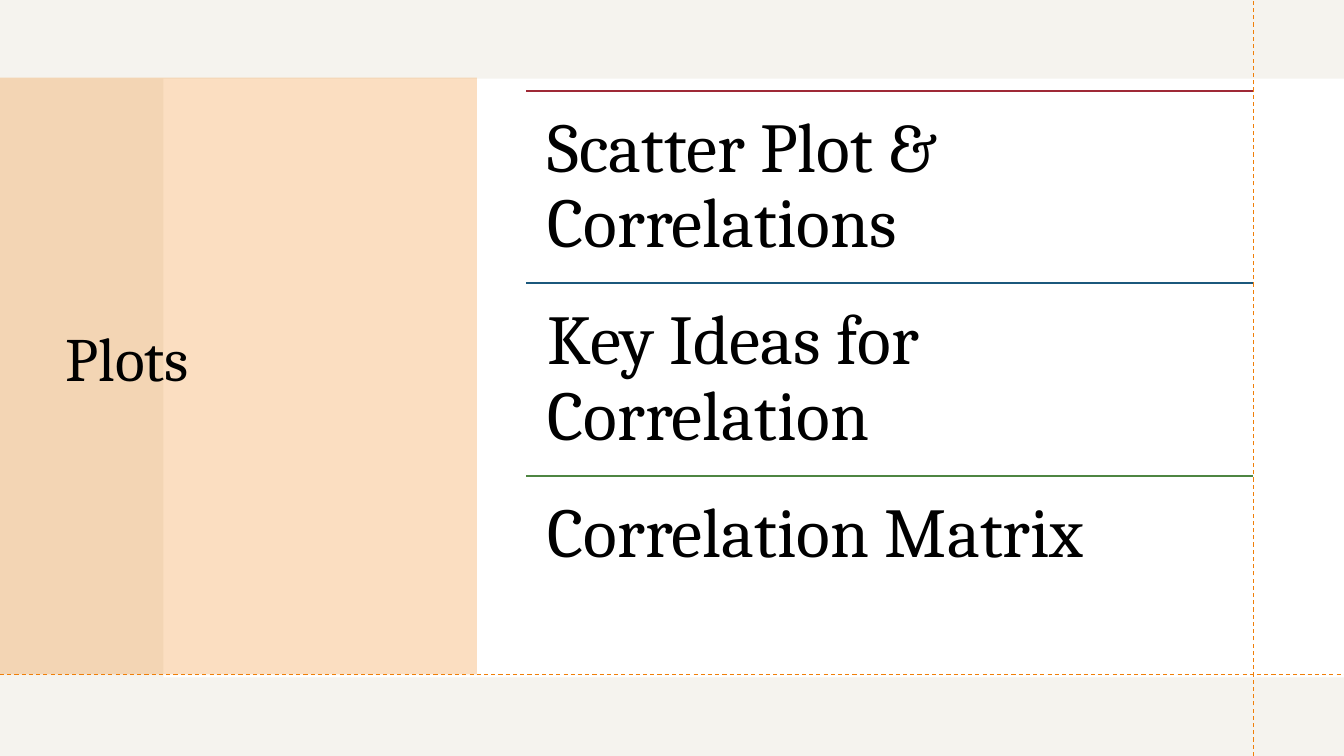
from lxml import etree
from pptx import Presentation
from pptx.dml.color import RGBColor
from pptx.enum.dml import MSO_LINE
from pptx.enum.shapes import MSO_CONNECTOR, MSO_SHAPE
from pptx.enum.text import MSO_ANCHOR, MSO_AUTO_SIZE, PP_ALIGN
from pptx.oxml.ns import qn
from pptx.util import Inches, Pt

WHITE = RGBColor(0xFF, 0xFF, 0xFF)
BLACK = RGBColor(0x00, 0x00, 0x00)
SAND = RGBColor(0xE3, 0xDE, 0xD1)
ORANGE = RGBColor(0xF0, 0x7F, 0x09)
RED = RGBColor(0x9F, 0x29, 0x36)
BLUE = RGBColor(0x1B, 0x58, 0x7C)
GREEN = RGBColor(0x4E, 0x85, 0x42)

FONT = "Cambria"
SLIDE_W, SLIDE_H = 13.33, 7.5
TOPICS = [
    ("Scatter Plot & Correlations", RED),
    ("Key Ideas for Correlation", BLUE),
    ("Correlation Matrix", GREEN),
]
TOPICS_LEFT, TOPICS_TOP = 5.22, 0.9
TOPICS_RIGHT, TOPIC_H = 12.43, 1.91
TOPIC_INSET = 0.21
GUIDE_Y = 6.69


def add_block(slide, left, top, width, height, color, opacity=100):
    block = slide.shapes.add_shape(
        MSO_SHAPE.RECTANGLE, Inches(left), Inches(top), Inches(width), Inches(height))
    block.shadow.inherit = False
    block.line.fill.background()
    block.fill.solid()
    block.fill.fore_color.rgb = color
    if opacity < 100:
        rgb = block.element.spPr.find(qn("a:solidFill")).find(qn("a:srgbClr"))
        etree.SubElement(rgb, qn("a:alpha")).set("val", str(opacity * 1000))
    return block


def add_rule(shapes, x1, y1, x2, y2, color, width, dash=None):
    rule = shapes.add_connector(
        MSO_CONNECTOR.STRAIGHT, Inches(x1), Inches(y1), Inches(x2), Inches(y2))
    rule.line.color.rgb = color
    rule.line.width = Pt(width)
    if dash:
        rule.line.dash_style = dash
    etree.SubElement(rule.element.spPr, qn("a:effectLst"))


def format_text(paragraph, text, size):
    paragraph.text = text
    paragraph.alignment = PP_ALIGN.LEFT
    paragraph.line_spacing = 0.9
    paragraph.font.name = FONT
    paragraph.font.size = Pt(size)
    paragraph.font.color.rgb = BLACK


def place_title(title, panel, text):
    title.left, title.top = Inches(0.55), Inches(0.74)
    title.width, title.height = Inches(3.95), Inches(5.69)
    frame = title.text_frame
    frame.auto_size = MSO_AUTO_SIZE.NONE
    frame.vertical_anchor = MSO_ANCHOR.MIDDLE
    format_text(frame.paragraphs[0], text, 44)
    panel.element.addnext(title.element)  # bring the title in front of the panel


def add_topic(shapes, top, text, color):
    add_rule(shapes, TOPICS_LEFT, top, TOPICS_RIGHT, top, color, 1.5)
    topic = shapes.add_textbox(Inches(TOPICS_LEFT), Inches(top),
                               Inches(TOPICS_RIGHT - TOPICS_LEFT), Inches(TOPIC_H))
    frame = topic.text_frame
    frame.word_wrap = True
    frame.margin_left = frame.margin_right = Inches(TOPIC_INSET)
    frame.margin_top = frame.margin_bottom = Inches(TOPIC_INSET)
    format_text(frame.paragraphs[0], text, 50)


def main():
    deck = Presentation()
    deck.slide_width, deck.slide_height = Inches(SLIDE_W), Inches(SLIDE_H)
    slide = deck.slides.add_slide(deck.slide_layouts[5])

    # Backdrop, content band and tinted title panel
    add_block(slide, 0, 0, SLIDE_W, SLIDE_H, SAND, 35)
    add_block(slide, 1.62, 0.78, SLIDE_W - 1.62, 5.94, WHITE)
    panel = add_block(slide, 0, 0.77, 4.73, 5.92, ORANGE, 25)
    place_title(slide.shapes.title, panel, "Plots")

    # Dashed guides
    add_rule(slide.shapes, TOPICS_RIGHT, SLIDE_H, TOPICS_RIGHT, 0,
             ORANGE, 0.75, MSO_LINE.DASH)
    add_rule(slide.shapes, 0, GUIDE_Y, SLIDE_W, GUIDE_Y, ORANGE, 0.75, MSO_LINE.DASH)

    # Topic list
    topics = slide.shapes.add_group_shape()
    for row, (text, color) in enumerate(TOPICS):
        add_topic(topics.shapes, TOPICS_TOP + row * TOPIC_H, text, color)

    deck.save("out.pptx")


if __name__ == "__main__":
    main()
